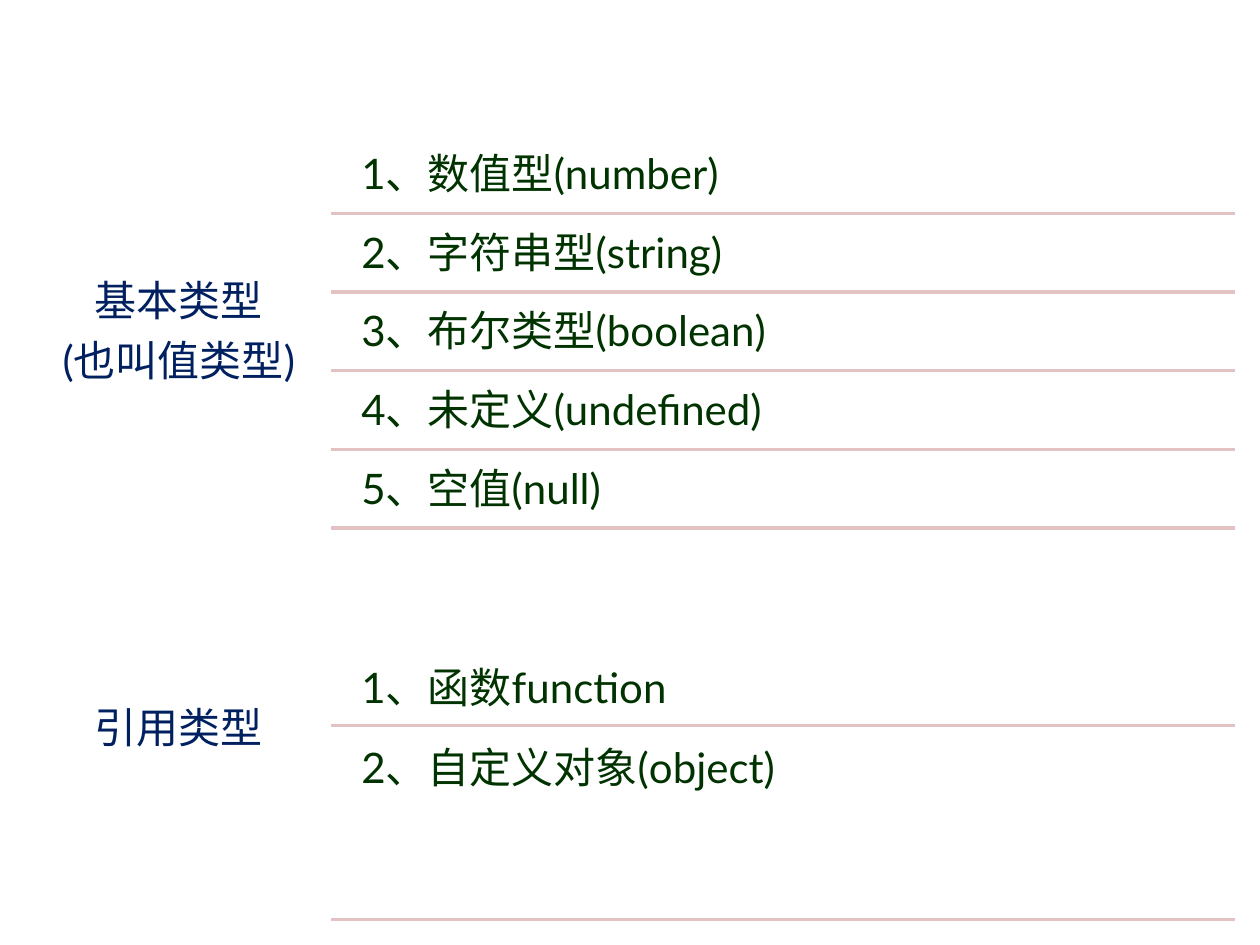
from dataclasses import dataclass

from lxml.etree import SubElement
from pptx import Presentation
from pptx.dml.color import RGBColor as Rgb
from pptx.enum.shapes import MSO_CONNECTOR as Link
from pptx.enum.text import MSO_ANCHOR as Anchor, PP_ALIGN as Align
from pptx.oxml.ns import qn
from pptx.slide import Slide
from pptx.util import Inches, Pt


@dataclass(frozen=True)
class Theme:
    font: str = "Lato"
    size: float = 24
    head: str = "002060"
    item: str = "003300"
    rule: str = "E2C2C2"
    width: float = 2


@dataclass(frozen=True)
class Group:
    head: list[str]
    items: list[str]
    anchors: list[Anchor]


THEME = Theme()

# Grid: a label column, an item column, and one equal band per group
LEFT, SPLIT, TEXT, RIGHT = 0.21, 2.63, 2.77, 9.8
TOP, BAND = 1.07, 3.15
GAP = 0.05  # space around each item, as a share of its height

GROUPS = [
    Group(
        ["基本类型", "(也叫值类型)"],
        ["1、数值型(number)", "2、字符串型(string)", "3、布尔类型(boolean)",
         "4、未定义(undefined)", "5、空值(null)"],
        [Anchor.MIDDLE] * 5,
    ),
    Group(
        ["引用类型"],
        ["1、函数function", "2、自定义对象(object)"],
        [Anchor.BOTTOM, Anchor.TOP],
    ),
]


def add_text(slide: Slide, lines: list[str], left: float, top: float,
             right: float, height: float, color: str, align: Align,
             anchor: Anchor) -> None:
    box = slide.shapes.add_textbox(
        Inches(left), Inches(top), Inches(right - left), Inches(height))
    frame = box.text_frame
    frame.word_wrap = True
    frame.vertical_anchor = anchor
    frame.margin_left = frame.margin_right = Inches(0.1)
    frame.margin_top = frame.margin_bottom = Inches(0.1)
    frame.text = "\n".join(lines)
    for para in frame.paragraphs:
        para.alignment = align
        para.line_spacing = 0.9
        para.space_after = Pt(0.35 * THEME.size)
        para.font.name = THEME.font
        para.font.size = Pt(THEME.size)
        para.font.color.rgb = Rgb.from_string(color)


def add_rule(slide: Slide, y: float) -> None:
    rule = slide.shapes.add_connector(
        Link.STRAIGHT, Inches(SPLIT), Inches(y), Inches(RIGHT), Inches(y))
    rule.line.color.rgb = Rgb.from_string(THEME.rule)
    rule.line.width = Pt(THEME.width)
    SubElement(rule._element.spPr, qn("a:effectLst"))


def add_group(slide: Slide, group: Group, top: float) -> None:
    # Label beside the whole band
    add_text(slide, group.head, LEFT, top, SPLIT, BAND, THEME.head,
             Align.CENTER, Anchor.MIDDLE)
    # Items share the band, each with a rule below
    count = len(group.items)
    height = BAND / (count + (count + 1) * GAP)
    for row, (item, anchor) in enumerate(zip(group.items, group.anchors)):
        y = top + height * (GAP + row * (1 + GAP))
        add_text(slide, [item], TEXT, y, RIGHT, height, THEME.item,
                 Align.LEFT, anchor)
        add_rule(slide, y + height)


def main() -> None:
    deck = Presentation()
    deck.slide_width, deck.slide_height = Inches(10), Inches(7.5)
    slide = deck.slides.add_slide(deck.slide_layouts[6])
    for index, group in enumerate(GROUPS):
        add_group(slide, group, TOP + index * BAND)
    deck.save("out.pptx")


if __name__ == "__main__":
    main()
